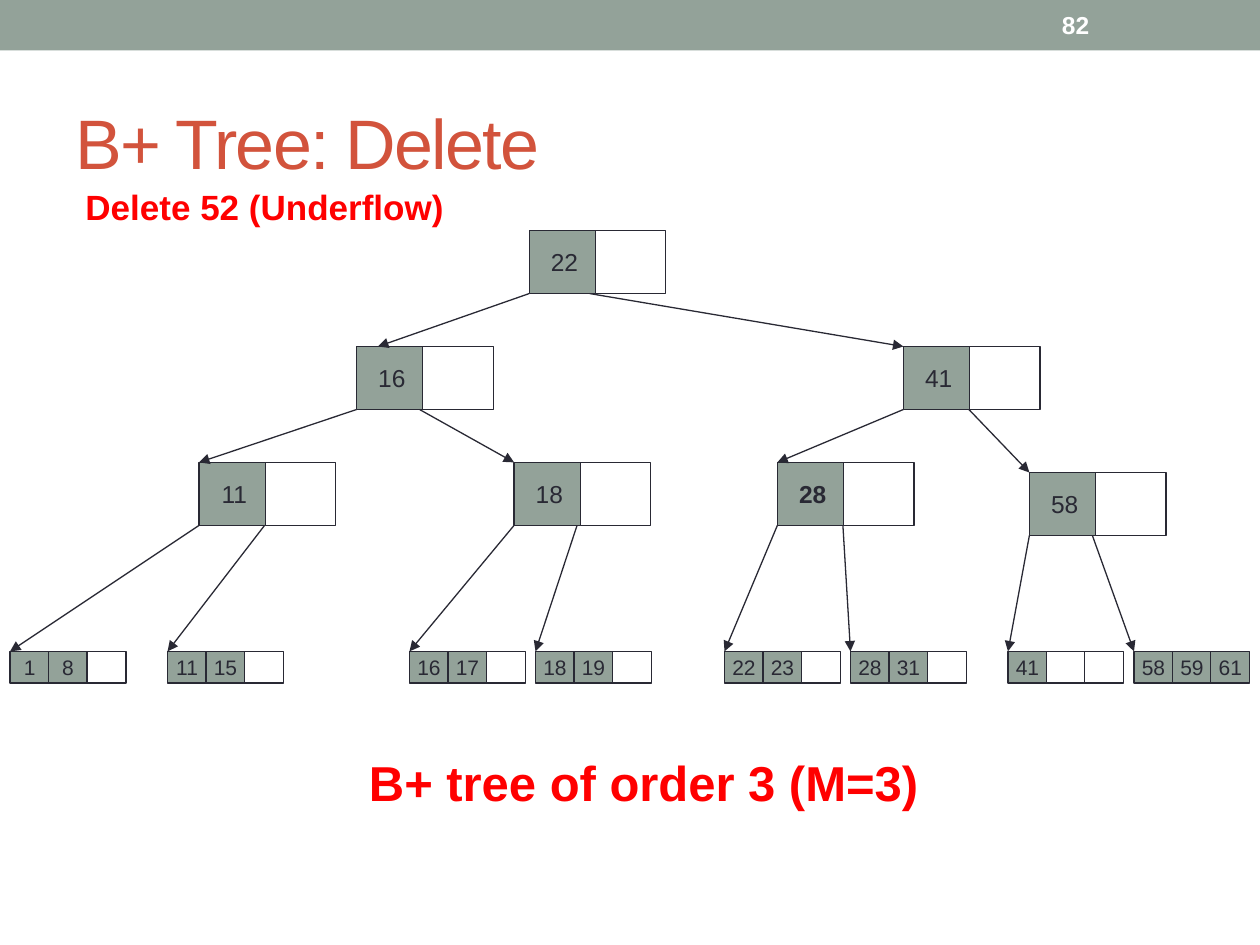
from pptx import Presentation
from pptx.dml.color import RGBColor
from pptx.enum.shapes import MSO_CONNECTOR, MSO_SHAPE
from pptx.enum.text import MSO_ANCHOR, MSO_AUTO_SIZE, PP_ALIGN
from pptx.oxml.ns import qn
from pptx.util import Inches, Pt
from lxml.etree import SubElement

SAGE = RGBColor(0x93, 0xA2, 0x99)
INK = RGBColor(0x29, 0x29, 0x34)
RUST = RGBColor(0xD2, 0x53, 0x3C)
RED = RGBColor(0xFF, 0x00, 0x00)
WHITE = RGBColor(0xFF, 0xFF, 0xFF)
FONT = "Arial"

TITLE = "B+ Tree: Delete"
SLIDE_NUMBER = "82"
NOTES = [
    ("Delete 52 (Underflow)", 0.58, 1.42, 3.17, 0.44, 20),
    ("B+ tree of order 3 (M=3)", 2.83, 5.92, 4.93, 0.57, 28),
]

NODES = {
    "root": (4.2, 1.83, "22"),
    "left": (2.83, 2.75, "16"),
    "right": (7.17, 2.75, "41"),
    "node 11": (1.58, 3.67, "11"),
    "node 18": (4.08, 3.67, "18"),
    "node 28": (6.17, 3.67, "28"),
    "node 58": (8.17, 3.75, "58"),
}
BOLD_NODE = "node 28"
LEAVES = {
    "leaf 1": (0.08, ["1", "8", ""]),
    "leaf 11": (1.33, ["11", "15", ""]),
    "leaf 16": (3.25, ["16", "17", ""]),
    "leaf 18": (4.25, ["18", "19", ""]),
    "leaf 22": (5.75, ["22", "23", ""]),
    "leaf 28": (6.75, ["28", "31", ""]),
    "leaf 41": (8, ["41", "", ""]),
    "leaf 58": (9, ["58", "59", "61"]),
}
BRANCHES = [
    ("root", "left", "right", 0.48),
    ("left", "node 11", "node 18", 0.5),
    ("right", "node 28", "node 58", 0.52),
    ("node 11", "leaf 1", "leaf 11", 0.52),
    ("node 18", "leaf 16", "leaf 18", 0.5),
    ("node 28", "leaf 22", "leaf 28", 0.52),
    ("node 58", "leaf 41", "leaf 58", 0.5),
]
TIP_SHIFT = {"left": 0.17}

NODE_PITCH, NODE_WIDTH, NODE_HEIGHT = 0.525, 0.56, 0.5
LEAF_TOP, LEAF_PITCH, LEAF_WIDTH, LEAF_HEIGHT = 5.17, 0.305, 0.31, 0.25


def format_text(paragraph, size, color, bold=False):
    font = paragraph.runs[0].font
    font.name, font.size, font.bold = FONT, Pt(size), bold
    font.color.rgb = color


def add_text(slide, text, left, top, width, height, size, color):
    box = slide.shapes.add_textbox(*map(Inches, (left, top, width, height)))
    box.text_frame.text = text
    format_text(box.text_frame.paragraphs[0], size, color, True)
    return box.text_frame


def add_cells(slide, keys, left, top, pitch, width, height, size, bold=False):
    group = slide.shapes.add_group_shape()
    for index, key in enumerate(keys):
        cell = group.shapes.add_shape(
            MSO_SHAPE.RECTANGLE,
            *map(Inches, (left + index * pitch, top, width, height)))
        cell.shadow.inherit = False
        cell.fill.solid()
        cell.fill.fore_color.rgb = SAGE if key else WHITE
        cell.line.color.rgb = INK
        cell.line.width = Pt(0.75)
        if key:
            frame = cell.text_frame
            frame.word_wrap = False
            frame.vertical_anchor = MSO_ANCHOR.MIDDLE
            frame.text = key
            frame.paragraphs[0].alignment = PP_ALIGN.CENTER
            format_text(frame.paragraphs[0], size, INK, bold)


def add_arrow(slide, start, end):
    arrow = slide.shapes.add_connector(
        MSO_CONNECTOR.STRAIGHT, *map(Inches, start + end))
    arrow.line.color.rgb = INK
    arrow.line.width = Pt(0.75)
    SubElement(arrow.line._get_or_add_ln(), qn("a:tailEnd"), type="triangle")
    SubElement(arrow._element.spPr, qn("a:effectLst"))


def tip_of(name):
    left, top = NODES[name][:2] if name in NODES else (LEAVES[name][0], LEAF_TOP)
    return left + TIP_SHIFT.get(name, 0), top


def main():
    presentation = Presentation()
    presentation.slide_width = Inches(10)
    presentation.slide_height = Inches(7.5)
    slide = presentation.slides.add_slide(presentation.slide_layouts[5])

    band = slide.shapes.add_shape(
        MSO_SHAPE.RECTANGLE, 0, 0, presentation.slide_width, Inches(0.4))
    band.shadow.inherit = False
    band.fill.solid()
    band.fill.fore_color.rgb = SAGE
    band.line.fill.background()

    title = slide.shapes.title
    title.left, title.top, title.width, title.height = map(
        Inches, (0.5, 0.58, 9, 1.08))
    title.text_frame.text = TITLE
    title.text_frame.vertical_anchor = MSO_ANCHOR.MIDDLE
    heading = title.text_frame.paragraphs[0]
    heading.alignment = PP_ALIGN.LEFT
    format_text(heading, 40, RUST)
    heading.runs[0].font._element.set("spc", "-100")

    number = add_text(slide, SLIDE_NUMBER, 8.33, 0.02, 1.17, 0.36, 14, WHITE)
    number.word_wrap = True
    number.vertical_anchor = MSO_ANCHOR.MIDDLE
    for text, left, top, width, height, size in NOTES:
        note = add_text(slide, text, left, top, width, height, size, RED)
        note.word_wrap = False
        note.auto_size = MSO_AUTO_SIZE.SHAPE_TO_FIT_TEXT

    for name, (left, top, key) in NODES.items():
        add_cells(slide, [key, ""], left, top, NODE_PITCH, NODE_WIDTH,
                  NODE_HEIGHT, 14, name == BOLD_NODE)
    for left, keys in LEAVES.values():
        add_cells(slide, keys, left, LEAF_TOP, LEAF_PITCH, LEAF_WIDTH,
                  LEAF_HEIGHT, 12)
    for parent, left_child, right_child, offset in BRANCHES:
        left, top, _ = NODES[parent]
        bottom = top + NODE_HEIGHT
        add_arrow(slide, (left, bottom), tip_of(left_child))
        add_arrow(slide, (left + offset, bottom), tip_of(right_child))

    presentation.save("out.pptx")


if __name__ == "__main__":
    main()
